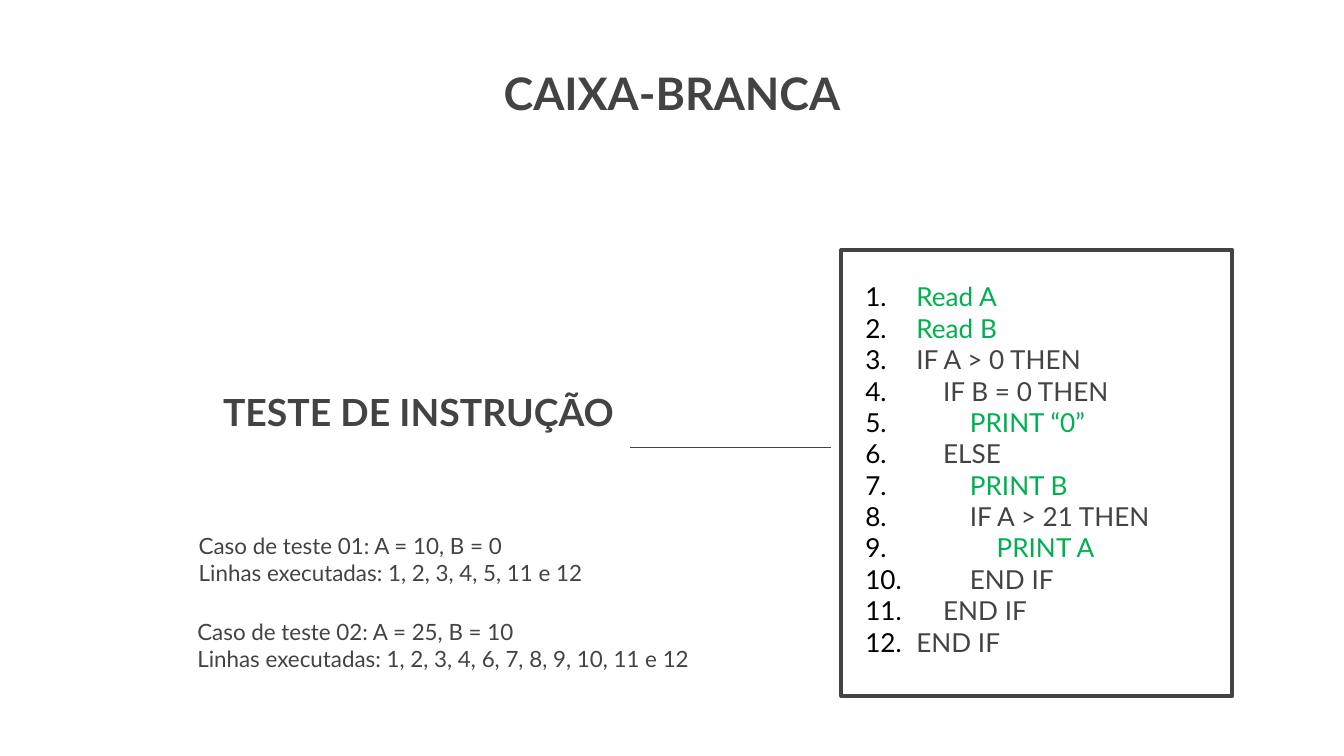
"""Build the white-box statement testing slide."""
from lxml.etree import SubElement
from pptx import Presentation
from pptx.dml.color import RGBColor
from pptx.enum.shapes import MSO_CONNECTOR, MSO_SHAPE
from pptx.enum.text import MSO_ANCHOR, MSO_AUTO_SIZE, PP_ALIGN
from pptx.oxml.ns import qn
from pptx.util import Inches, Pt

GRAY, GREEN, BLACK, WHITE = "434343", "00B050", "000000", "FFFFFF"


def color(value):
    return RGBColor.from_string(value)


def add_lines(frame, lines, size, bold=False):
    frame.word_wrap = True
    for index, (text, shade) in enumerate(lines):
        paragraph = frame.paragraphs[0] if index == 0 else frame.add_paragraph()
        span = paragraph.add_run()
        span.text = text
        span.font.name = "Lato"
        span.font.size = Pt(size)
        span.font.bold = bold
        span.font.color.rgb = color(shade)


deck = Presentation()
deck.slide_width = Inches(10)
deck.slide_height = Inches(10 * 9 / 16)
page = deck.slides.add_slide(deck.slide_layouts[0])
page.background.fill.solid()
page.background.fill.fore_color.rgb = color(WHITE)

headings = [
    (page.shapes.title, " CAIXA-BRANCA", 24, (2.11, 0.39, 5.7, 1.03), MSO_ANCHOR.TOP, PP_ALIGN.CENTER),
    (page.placeholders[1], "TESTE DE INSTRUÇÃO", 20, (0.98, 1.08, 3.69, 2.25), MSO_ANCHOR.BOTTOM, PP_ALIGN.RIGHT),
]
for box, text, size, place, anchor, alignment in headings:
    box.left, box.top, box.width, box.height = map(Inches, place)
    frame = box.text_frame
    frame.auto_size = MSO_AUTO_SIZE.NONE
    frame.vertical_anchor = anchor
    frame.margin_left = frame.margin_right = Inches(0.1)
    frame.margin_top = frame.margin_bottom = Inches(0.1)
    add_lines(frame, [(text, GRAY)], size, bold=True)
    frame.paragraphs[0].alignment = alignment
    frame.paragraphs[0].space_before = Pt(0)

link = page.shapes.add_connector(
    MSO_CONNECTOR.STRAIGHT, Inches(4.69), Inches(3.33), Inches(6.18), Inches(3.33))
link.line.color.rgb = color(GRAY)
link.line.width = Pt(0.75)
SubElement(link._element.spPr, qn("a:effectLst"))

code_frame = page.shapes.add_shape(
    MSO_SHAPE.RECTANGLE, Inches(6.26), Inches(1.86), Inches(2.91), Inches(3.32))
code_frame.shadow.inherit = False
code_frame.fill.solid()
code_frame.fill.fore_color.rgb = color(WHITE)
code_frame.line.color.rgb = color(GRAY)
code_frame.line.width = Pt(2)

code_lines = [
    ("Read A", GREEN),
    ("Read B", GREEN),
    ("IF A > 0 THEN", GRAY),
    ("    IF B = 0 THEN", GRAY),
    ("        PRINT “0”", GREEN),
    ("    ELSE", GRAY),
    ("        PRINT B", GREEN),
    ("        IF A > 21 THEN", GRAY),
    ("            PRINT A", GREEN),
    ("        END IF", GRAY),
    ("    END IF", GRAY),
    ("END IF", GRAY),
]
code_box = page.shapes.add_textbox(Inches(6.34), Inches(2.04), Inches(2.76), Inches(3.16))
add_lines(code_box.text_frame, code_lines, 14)
code_box.text_frame.auto_size = MSO_AUTO_SIZE.SHAPE_TO_FIT_TEXT
for paragraph in code_box.text_frame.paragraphs:
    properties = paragraph._p.get_or_add_pPr()
    properties.set("marL", str(Inches(0.38)))
    properties.set("indent", str(-Inches(0.38)))
    bullet_color = SubElement(properties, qn("a:buClr"))
    SubElement(bullet_color, qn("a:srgbClr"), val=BLACK)
    SubElement(properties, qn("a:buFont"), typeface="+mj-lt")
    SubElement(properties, qn("a:buAutoNum"), type="arabicPeriod")

test_cases = [
    (1.38, 3.91, 3.31, "Caso de teste 01: A = 10, B = 0",
     "Linhas executadas: 1, 2, 3, 4, 5, 11 e 12"),
    (1.37, 4.55, 4.3, "Caso de teste 02: A = 25, B = 10",
     "Linhas executadas: 1, 2, 3, 4, 6, 7, 8, 9, 10, 11 e 12"),
]
for left, top, width, inputs, executed in test_cases:
    case_box = page.shapes.add_textbox(Inches(left), Inches(top), Inches(width), Inches(0.5))
    add_lines(case_box.text_frame, [(inputs, GRAY), (executed, GRAY)], 12)
    case_box.text_frame.auto_size = MSO_AUTO_SIZE.SHAPE_TO_FIT_TEXT

deck.save("out.pptx")
